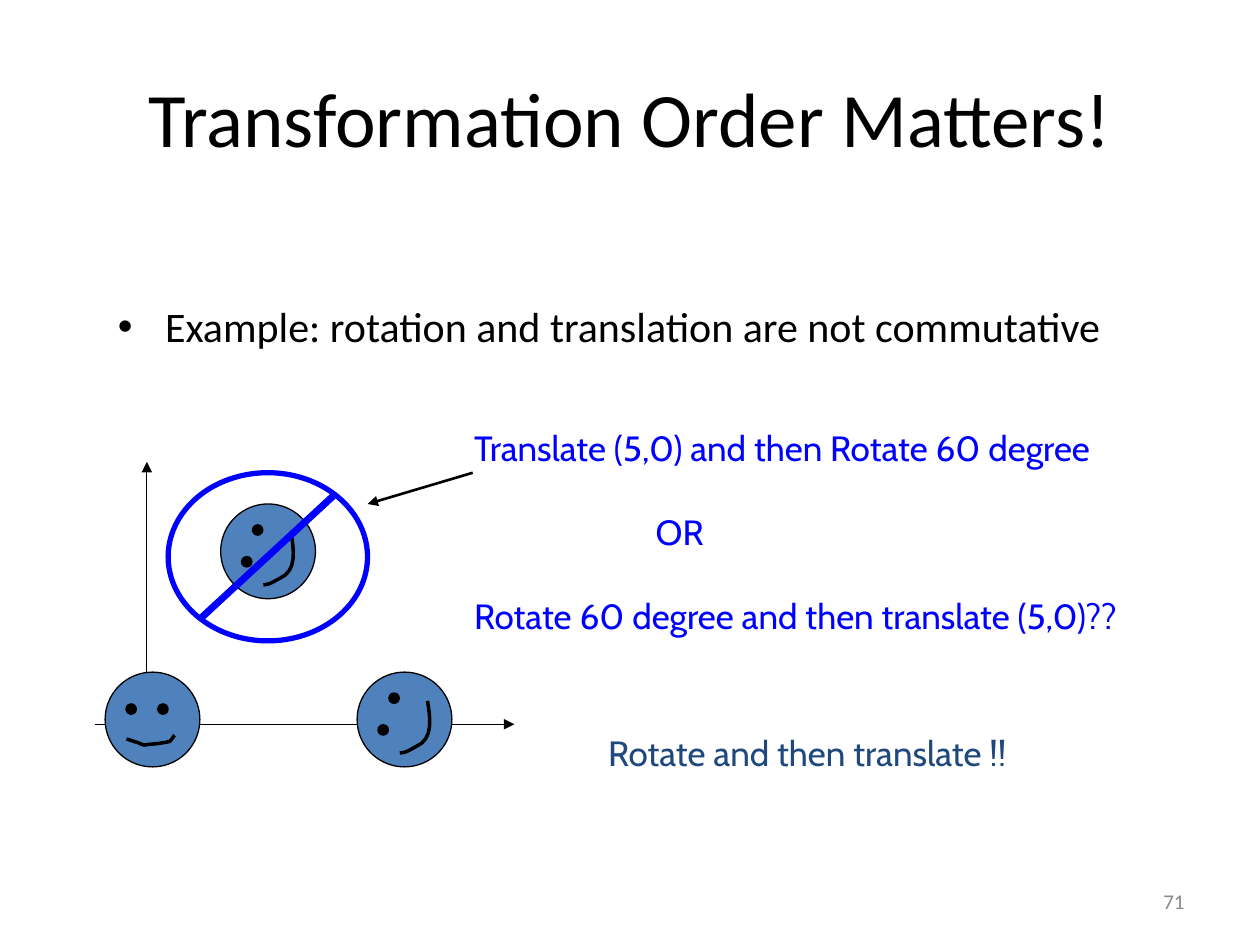
"""Build a slide on why the order of rotation and translation matters."""
from lxml import etree
from pptx import Presentation
from pptx.dml.color import RGBColor
from pptx.enum import shapes, text
from pptx.oxml.ns import qn
from pptx.util import Cm, Pt

BLACK = RGBColor(0, 0, 0)
BLUE = RGBColor(0, 0, 255)
STEEL = RGBColor(0x4F, 0x81, 0xBD)
NAVY = RGBColor(0x1F, 0x49, 0x7D)
GRAY = RGBColor(0x89, 0x89, 0x89)
OVAL = shapes.MSO_SHAPE.OVAL


def paint(shape, fill, color, width):
    shape.shadow.inherit = False
    if fill is None:
        shape.fill.background()
    else:
        shape.fill.solid()
        shape.fill.fore_color.rgb = fill
    shape.line.color.rgb = color
    shape.line.width = Pt(width)


def draw(home, ends, color, width, arrow):
    line = home.add_connector(shapes.MSO_CONNECTOR.STRAIGHT, *map(Cm, ends))
    line.line.color.rgb = color
    line.line.width = Pt(width)
    if arrow:
        etree.SubElement(line.line._get_or_add_ln(), qn("a:tailEnd"), type="triangle")
    etree.SubElement(line._element.spPr, qn("a:effectLst"))


deck = Presentation()
deck.slide_width, deck.slide_height = Cm(25.4), Cm(19.05)
slide = deck.slides.add_slide(deck.slide_layouts[1])
items = slide.shapes

heads = [
    (items.title, "Transformation Order Matters!", 44, (1.27, 0.76, 22.86, 3.18)),
    (slide.placeholders[1], "Example: rotation and translation are not commutative", 24,
     (2.12, 5.93, 21.59, 11.43)),
]
for holder, words, size, box in heads:
    for name, value in zip(("left", "top", "width", "height"), box):
        setattr(holder, name, Cm(value))
    holder.text_frame.text = words
    font = holder.text_frame.paragraphs[0].runs[0].font
    for name, value in {"size": Pt(size), "name": "Calibri"}.items():
        setattr(font, name, value)
    font.color.rgb = BLACK

for ends in [(1.91, 14.6, 10.37, 14.6), (2.96, 15.45, 2.96, 9.31)]:
    draw(items, ends, BLACK, 0.75, True)

level = ([(0.42, 0.64), (1.06, 0.64)],
         [(0.43, 1.35), (0.51, 1.37), (0.58, 1.4), (0.66, 1.42),
          (0.71, 1.45), (0.79, 1.47), (0.79, 1.47),
          (0.91, 1.45), (1.04, 1.45), (1.19, 1.42),
          (1.22, 1.42), (1.27, 1.4), (1.3, 1.4),
          (1.35, 1.35), (1.4, 1.27), (1.4, 1.27)])
tilted = ([(0.42, 1.06), (0.64, 0.42)],
          [(1.42, 0.58), (1.47, 0.91), (1.55, 1.35), (1.19, 1.5),
           (1.09, 1.55), (0.99, 1.63), (0.86, 1.63)])
for left, top, (eyes, curve) in [(2.12, 13.55, level), (7.2, 13.55, tilted),
                                 (4.45, 10.16, tilted)]:
    group = items.add_group_shape().shapes
    head = group.add_shape(OVAL, Cm(left), Cm(top), Cm(1.91), Cm(1.91))
    paint(head, STEEL, BLACK, 0.75)
    for x, y in eyes:
        eye = group.add_shape(OVAL, Cm(left + x), Cm(top + y), Cm(0.21), Cm(0.21))
        paint(eye, BLACK, BLACK, 0.75)
    dots = []
    for i in range(0, len(curve) - 1, 3):
        for t in [k / 8 for k in range(9)]:
            mix = ((1 - t) ** 3, 3 * t * (1 - t) ** 2, 3 * t * t * (1 - t), t ** 3)
            x, y = [sum(m * p[axis] for m, p in zip(mix, curve[i:i + 4])) for axis in (0, 1)]
            dots.append((Cm(left + x), Cm(top + y)))
    pen = group.build_freeform(*dots[0])
    pen.add_line_segments(dots[1:], close=False)
    paint(pen.convert_to_shape(), None, BLACK, 2)

draw(group, (6.77, 9.95, 4.02, 12.49), BLUE, 4, False)
ring = group.add_shape(OVAL, Cm(3.39), Cm(9.53), Cm(4.02), Cm(3.39))
paint(ring, None, BLUE, 3)
draw(group, (9.53, 9.53, 7.41, 10.16), BLACK, 1.5, True)

steps = [("Translate (5,0) and then Rotate 60 degree", 0, 0), ("OR", 3.66, 24),
         ("Rotate 60 degree and then translate (5,0)??", 0, 24)]
LEFT, RIGHT = text.PP_ALIGN.LEFT, text.PP_ALIGN.RIGHT
TOP, MID = text.MSO_ANCHOR.TOP, text.MSO_ANCHOR.MIDDLE
notes = [
    ((9.31, 8.47, 14.22, 4.5), steps, "Cabin", 20, BLUE, LEFT, TOP),
    ((12.01, 14.63, 9.37, 1.09), [("Rotate and then translate !!", 0, 0)],
     "Cabin", 20, NAVY, LEFT, TOP),
    ((18.2, 17.65, 5.93, 1.02), [("71", 0, 0)], "Calibri", 12, GRAY, RIGHT, MID),
]
for box, rows, face, size, color, align, anchor in notes:
    frame = items.add_textbox(*map(Cm, box)).text_frame
    frame.word_wrap = align == RIGHT
    frame.vertical_anchor = anchor
    for i, (words, indent, gap) in enumerate(rows):
        para = frame.add_paragraph() if i else frame.paragraphs[0]
        para.alignment, para.space_before = align, Pt(gap)
        para._p.get_or_add_pPr().set("marL", str(Cm(indent)))
        run = para.add_run()
        run.text = words
        for name, value in {"name": face, "size": Pt(size)}.items():
            setattr(run.font, name, value)
        run.font.color.rgb = color

deck.save("out.pptx")
